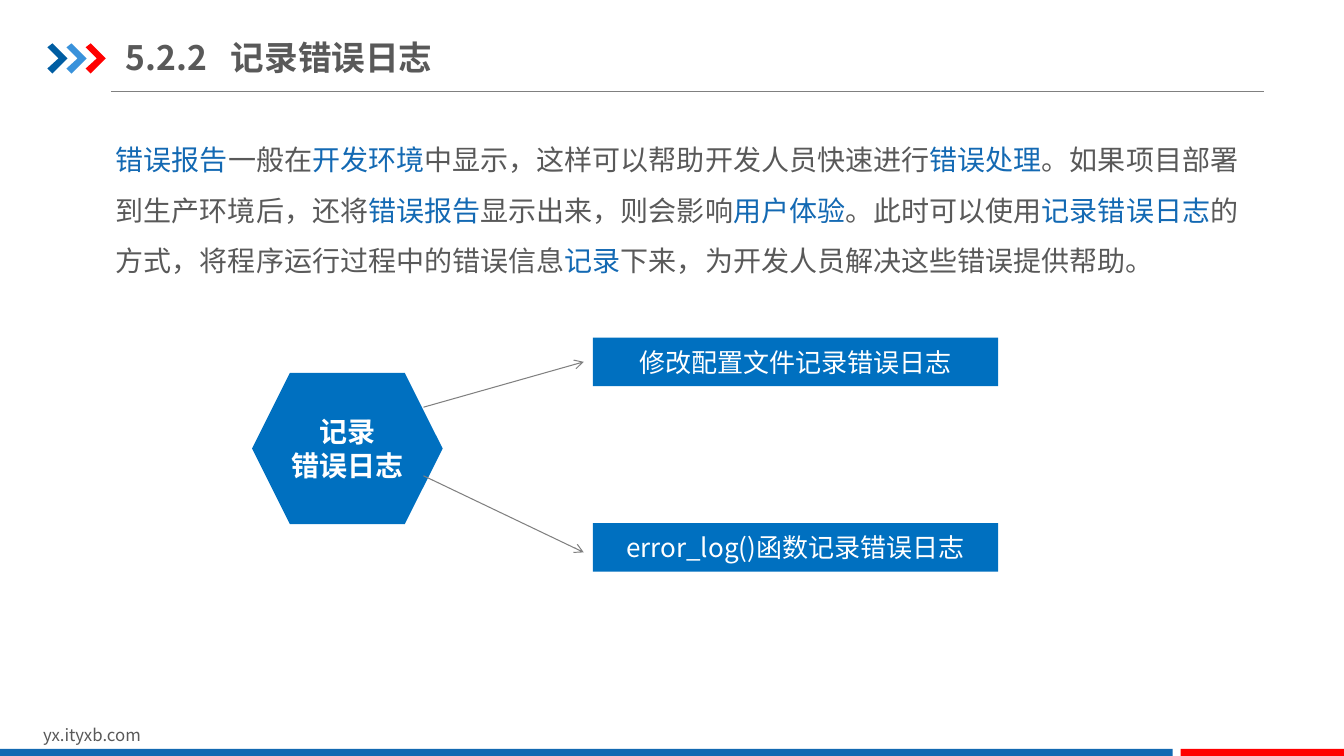
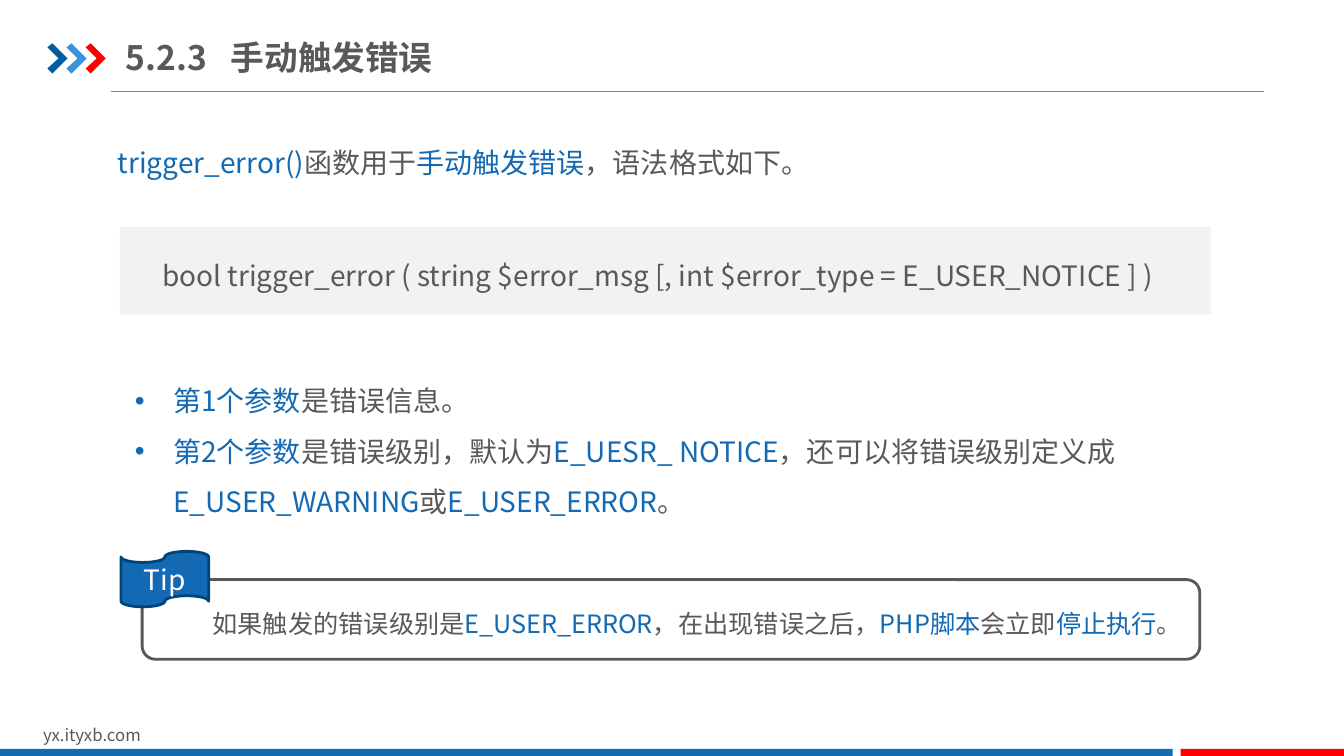
import dataclasses

import pptx
import pptx.dml.color
import pptx.enum.shapes
import pptx.enum.text
import pptx.oxml.ns
import pptx.util
from lxml import etree

Inches = pptx.util.Inches
Pt = pptx.util.Pt
RGB = pptx.dml.color.RGBColor.from_string
qn = pptx.oxml.ns.qn
PRESET = pptx.enum.shapes.MSO_SHAPE
ALIGN = pptx.enum.text.PP_ALIGN
ANCHOR = pptx.enum.text.MSO_ANCHOR


@dataclasses.dataclass(frozen=True)
class Theme:
    font: str = "Noto Sans CJK SC"
    text: str = "595959"
    accent: str = "1369B3"
    band: str = "1369B2"
    red: str = "FF0000"
    chevrons: tuple = ("005DA2", "3992DB", "FF0000")
    box: str = "0070C0"
    panel: str = "F2F2F2"
    tag_line: str = "004578"
    rule: str = "808080"
    white: str = "FFFFFF"
    title_size: float = 24
    body_size: float = 20
    box_size: float = 18.6
    tip_size: float = 18
    footer_size: float = 12


theme = Theme()


def add_box(slide, at, preset=None, fill=None, line=None):
    """Add a preset shape, or a wrapping text box when no preset is given."""
    place = [Inches(length) for length in at]
    if preset is None:
        shape = slide.shapes.add_textbox(*place)
    else:
        shape = slide.shapes.add_shape(preset, *place)
        shape.shadow.inherit = False
        shape.text_frame.vertical_anchor = ANCHOR.MIDDLE
        if fill:
            shape.fill.solid()
            shape.fill.fore_color.rgb = RGB(fill)
        else:
            shape.fill.background()
        if line:
            shape.line.color.rgb = RGB(line)
            shape.line.width = Pt(2)
        else:
            shape.line.fill.background()
    shape.text_frame.word_wrap = True
    return shape


def write(shape, lines, size, color=theme.text, bold=False, align=ALIGN.LEFT,
          spacing=None, bullet=False, tab=None):
    """Fill a shape with one paragraph a line; text between bars is accented."""
    frame = shape.text_frame
    for index, line in enumerate(lines):
        paragraph = frame.paragraphs[0] if index == 0 else frame.add_paragraph()
        paragraph.alignment = align
        if spacing:
            paragraph.line_spacing = spacing
        properties = paragraph._p.get_or_add_pPr()
        if bullet:
            properties.set("marL", str(Inches(0.38)))
            properties.set("indent", str(-Inches(0.38)))
            etree.SubElement(properties, qn("a:buFont"), typeface="Arial")
            etree.SubElement(properties, qn("a:buChar"), char="•")
        if tab:
            tabs = etree.SubElement(properties, qn("a:tabLst"))
            etree.SubElement(tabs, qn("a:tab"), pos=str(Inches(tab)), algn="l")
        paragraph.font.size = Pt(size)
        paragraph.font.bold = bold
        paragraph.font.name = theme.font
        paragraph.font.color.rgb = RGB(color)
        defaults = properties.find(qn("a:defRPr"))
        etree.SubElement(defaults, qn("a:ea"), typeface=theme.font)
        for part, words in enumerate(line.split("|")):
            if words:
                run = paragraph.add_run()
                run.text = words
                run.font.color.rgb = RGB(theme.accent if part % 2 else color)


presentation = pptx.Presentation()
presentation.slide_width = Inches(13.33)
presentation.slide_height = Inches(7.5)

# Shared frame: title, rule, chevrons and footer
slides = []
for title in ("5.2.2\t记录错误日志", "5.2.3\t手动触发错误"):
    slide = presentation.slides.add_slide(presentation.slide_layouts[6])
    slides.append(slide)

    rule = slide.shapes.add_connector(
        pptx.enum.shapes.MSO_CONNECTOR.STRAIGHT,
        Inches(1.1), Inches(0.91), Inches(12.54), Inches(0.91))
    rule.line.color.rgb = RGB(theme.rule)
    rule.line.width = Pt(0.75)
    etree.SubElement(rule._element.spPr, qn("a:effectLst"))

    for index, color in enumerate(theme.chevrons):
        left = 0.47 + index * 0.19
        outline = [(left + x, y) for x, y in (
            (0, 0.47), (0.05, 0.43), (0.2, 0.58),
            (0.05, 0.73), (0, 0.68), (0.11, 0.58))]
        points = [(Inches(x), Inches(y)) for x, y in outline]
        builder = slide.shapes.build_freeform(*points[0])
        builder.add_line_segments(points[1:], close=True)
        chevron = builder.convert_to_shape()
        chevron.shadow.inherit = False
        chevron.fill.solid()
        chevron.fill.fore_color.rgb = RGB(color)
        chevron.line.fill.background()

    footer = add_box(slide, (0.33, 7.14, 3.18, 0.3))
    write(footer, ["yx.ityxb.com"], theme.footer_size)
    add_box(slide, (0, 7.43, 11.63, 0.09), PRESET.RECTANGLE, theme.band)
    add_box(slide, (11.71, 7.43, 1.63, 0.09), PRESET.RECTANGLE, theme.red)

    heading = add_box(slide, (1.25, 0.29, 4.26, 0.55))
    heading.text_frame.margin_left = heading.text_frame.margin_right = 0
    heading.text_frame.vertical_anchor = ANCHOR.MIDDLE
    write(heading, [title], theme.title_size, bold=True, tab=1.04)

log_slide, trigger_slide = slides

# Recording the error log
introduction = add_box(log_slide, (1.05, 1.2, 11.58, 1.62))
write(introduction, [
    "|错误报告|一般在|开发环境|中显示，这样可以帮助开发人员快速进行|错误处理|。"
    "如果项目部署到生产环境后，还将|错误报告|显示出来，则会影响|用户体验|。"
    "此时可以使用|记录错误日志|的方式，将程序运行过程中的错误信息|记录|下来，"
    "为开发人员解决这些错误提供帮助。"], theme.body_size, spacing=1.5)

hexagon = add_box(log_slide, (2.5, 3.7, 1.89, 1.5), PRESET.HEXAGON, theme.box)
write(hexagon, ["记录", "错误日志"], theme.body_size, theme.white,
      bold=True, align=ALIGN.CENTER)

for method, top, arrow_start, arrow_end in (
        ("修改配置文件记录错误日志", 3.35, 4.04, 3.59),
        ("error_log()函数记录错误日志", 5.19, 4.72, 5.48)):
    method_box = add_box(log_slide, (5.88, top, 4.02, 0.48),
                         PRESET.RECTANGLE, theme.box)
    write(method_box, [method], theme.box_size, theme.white, align=ALIGN.CENTER)
    arrow = log_slide.shapes.add_connector(
        pptx.enum.shapes.MSO_CONNECTOR.STRAIGHT,
        Inches(4.2), Inches(arrow_start), Inches(5.79), Inches(arrow_end))
    arrow.line.color.rgb = RGB(theme.rule)
    arrow.line.width = Pt(0.75)
    etree.SubElement(arrow.line._get_or_add_ln(), qn("a:tailEnd"), type="arrow")
    etree.SubElement(arrow._element.spPr, qn("a:effectLst"))

# Triggering an error by hand
parameters = add_box(trigger_slide, (1.24, 3.59, 10.07, 1.62))
write(parameters, [
    "|第1个参数|是错误信息。",
    "|第2个参数|是错误级别，默认为|E_UESR_ NOTICE|，还可以将错误级别定义成"
    "|E_USER_WARNING|或|E_USER_ERROR|。"],
    theme.body_size, spacing=1.5, bullet=True)

purpose = add_box(trigger_slide, (1.07, 1.23, 10.95, 0.54))
write(purpose, ["|trigger_error()|函数用于|手动触发错误|，语法格式如下。"],
      theme.body_size, spacing=1.5)

add_box(trigger_slide, (1.19, 2.25, 10.82, 0.87), PRESET.RECTANGLE, theme.panel)
syntax = add_box(trigger_slide, (1.51, 2.35, 10.38, 0.55))
write(syntax, ["bool trigger_error ( string $error_msg "
               "[, int $error_type = E_USER_NOTICE ] )"],
      theme.body_size, spacing=1.5)

tip = add_box(trigger_slide, (2.01, 5.84, 9.81, 0.56))
write(tip, ["如果触发的错误级别是|E_USER_ERROR|，在出现错误之后，"
            "|PHP脚本|会立即|停止执行|。"], theme.tip_size, spacing=1.5)
add_box(trigger_slide, (1.41, 5.75, 10.49, 0.79),
        PRESET.ROUNDED_RECTANGLE, line=theme.text)
tip_tag = add_box(trigger_slide, (1.2, 5.47, 0.87, 0.55),
                  PRESET.FLOWCHART_PUNCHED_TAPE, theme.accent, theme.tag_line)
write(tip_tag, ["Tip"], theme.body_size, theme.white, align=ALIGN.CENTER)

presentation.save("out.pptx")
